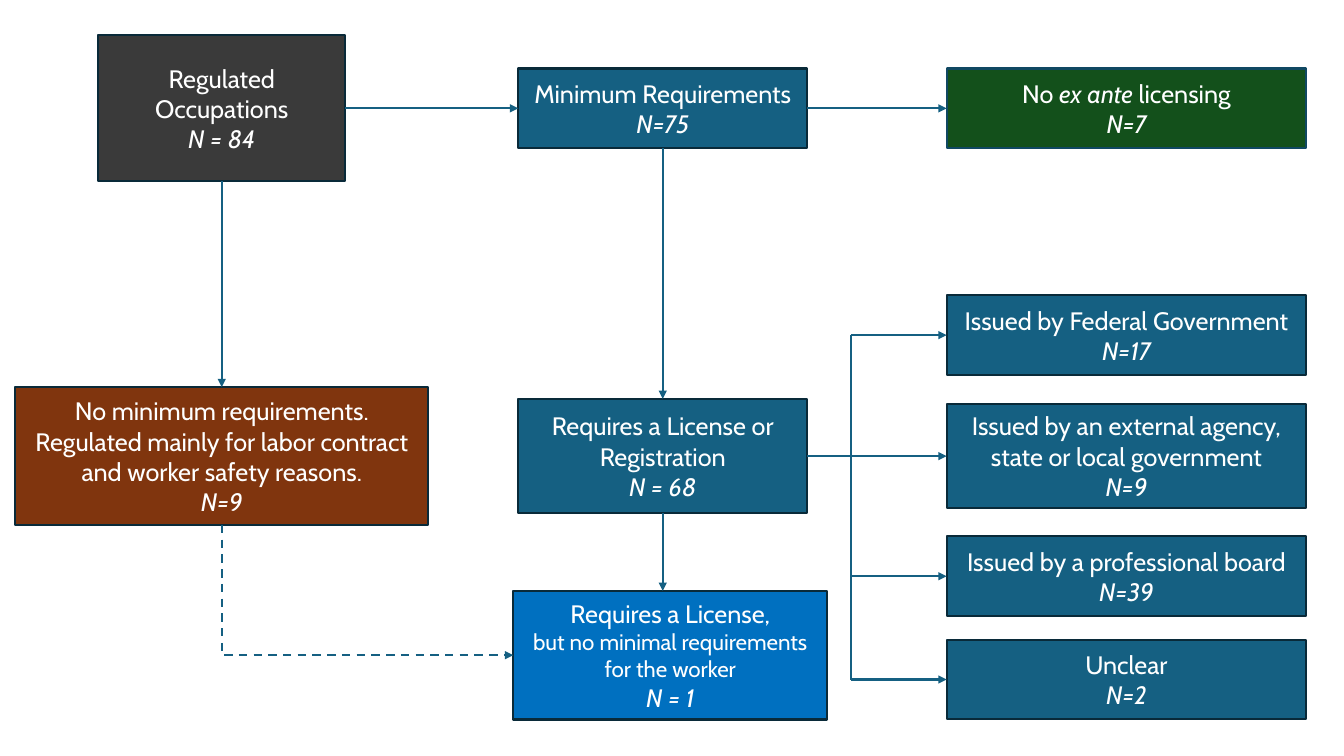
from dataclasses import dataclass

from lxml import etree
from pptx import Presentation
from pptx import util as u
from pptx.dml.color import RGBColor
from pptx.enum import dml, shapes, text
from pptx.oxml.ns import qn


@dataclass(frozen=True)
class Theme:
    font: str = "Cabin"
    size: int = 18
    small: int = 16
    line: float = 1.5
    white: str = "FFFFFF"
    edge: str = "092A39"
    green_edge: str = "104862"
    teal: str = "156082"
    grey: str = "3A3A3A"
    brown: str = "80350E"
    green: str = "13501B"
    blue: str = "0070C0"


@dataclass(frozen=True)
class Box:
    """A box centred on a grid point; *stars* enclose italics."""
    col: float
    row: float
    cols: float
    rows: float
    lines: tuple[str, ...]
    fill: str
    edge: str
    small_line: int = -1


@dataclass(frozen=True)
class Link:
    """A straight arrow between two boxes, by name and side."""
    start: str
    start_side: int
    end: str
    end_side: int


T = Theme()
TOP, LEFT, BOTTOM, RIGHT = range(4)

prs = Presentation()
prs.slide_width, prs.slide_height = u.Inches(13.33), u.Inches(7.5)
slide = prs.slides.add_slide(prs.slide_layouts[6])

# Grid of 160 columns by 90 rows
COL, ROW = prs.slide_width / 160, prs.slide_height / 90
COL_A, COL_B, COL_C = 26.4, 78.9, 134.1
ROW_TOP, ROW_MID, ROW_LOW = 12.9, 54.3, 78
TRUNK = 101.3
WIDE_B, WIDE_C = 34.4, 42.8
LOW = 9.5


def x(col: float) -> u.Emu:
    return u.Emu(round(col * COL))


def y(row: float) -> u.Emu:
    return u.Emu(round(row * ROW))


def colour(code: str) -> RGBColor:
    return RGBColor.from_string(code)


def teal_box(col: float, row: float, cols: float, rows: float, *lines: str) -> Box:
    return Box(col, row, cols, rows, lines, T.teal, T.edge)


def draw_box(box: Box):
    sp = slide.shapes.add_shape(
        shapes.MSO_SHAPE.RECTANGLE, x(box.col - box.cols / 2),
        y(box.row - box.rows / 2), x(box.cols), y(box.rows))
    sp.shadow.inherit = False
    sp.fill.solid()
    sp.fill.fore_color.rgb = colour(box.fill)
    sp.line.color.rgb = colour(box.edge)
    sp.line.width = u.Pt(T.line)
    tf = sp.text_frame
    tf.word_wrap = True
    tf.vertical_anchor = text.MSO_ANCHOR.MIDDLE
    for i, line in enumerate(box.lines):
        p = tf.add_paragraph() if i else tf.paragraphs[0]
        p.alignment = text.PP_ALIGN.CENTER
        for j, part in enumerate(line.split("*")):
            if not part:
                continue
            r = p.add_run()
            r.text = part
            r.font.name = T.font
            r.font.size = u.Pt(T.small if i == box.small_line else T.size)
            r.font.italic = j % 2 == 1
            r.font.color.rgb = colour(T.white)
    return sp


def draw_line(x1: int, y1: int, x2: int, y2: int, arrow: bool = True,
              dashed: bool = False, kind=shapes.MSO_CONNECTOR.STRAIGHT):
    c = slide.shapes.add_connector(kind, x1, y1, x2, y2)
    c.line.color.rgb = colour(T.teal)
    c.line.width = u.Pt(T.line)
    if dashed:
        c.line.dash_style = dml.MSO_LINE.DASH
    sp_pr = c.element.spPr
    if arrow:
        etree.SubElement(sp_pr.find(qn("a:ln")), qn("a:tailEnd"), type="triangle")
    etree.SubElement(sp_pr, qn("a:effectLst"))
    return c


# Boxes
boxes = {
    "all": Box(COL_A, ROW_TOP, 29.4, 17.4,
               ("Regulated Occupations", "*N = 84*"), T.grey, T.edge),
    "minimum": teal_box(COL_B, ROW_TOP, WIDE_B, LOW, "Minimum Requirements", "*N=75*"),
    "none": Box(COL_A, ROW_MID, 49.2, 16.4,
                ("No minimum requirements. Regulated mainly for labor contract "
                 "and worker safety reasons.", "*N=9*"), T.brown, T.edge),
    "license": teal_box(COL_B, ROW_MID, WIDE_B, 13.6,
                        "Requires a License or Registration", "*N = 68*"),
    "free": Box(COL_C, ROW_TOP, WIDE_C, LOW,
                ("No *ex ante* licensing", "*N=7*"), T.green, T.green_edge),
    "federal": teal_box(COL_C, 39.9, WIDE_C, LOW,
                        "Issued by Federal Government", "*N=17*"),
    "agency": teal_box(COL_C, ROW_MID, WIDE_C, 12.4, "Issued by an external agency,",
                       "state or local government", "*N=9*"),
    "board": teal_box(COL_C, 68.6, WIDE_C, LOW,
                      "Issued by a professional board", "*N=39*"),
    "unclear": teal_box(COL_C, 80.9, WIDE_C, LOW, "Unclear", "*N=2*"),
    "worker": Box(79.8, ROW_LOW, 37.4, 15.3,
                  ("Requires a License,", "but no minimal requirements for the worker",
                   "*N = 1*"), T.blue, T.edge, small_line=1),
}
drawn = {name: draw_box(box) for name, box in boxes.items()}

# Arrows from box to box
for link in (
    Link("all", RIGHT, "minimum", LEFT),
    Link("minimum", RIGHT, "free", LEFT),
    Link("minimum", BOTTOM, "license", TOP),
    Link("license", RIGHT, "agency", LEFT),
    Link("all", BOTTOM, "none", TOP),
):
    c = draw_line(0, 0, 0, 0)
    c.begin_connect(drawn[link.start], link.start_side)
    c.end_connect(drawn[link.end], link.end_side)

# Trunk and its branches
draw_line(x(TRUNK), y(boxes["federal"].row), x(TRUNK), y(boxes["unclear"].row), arrow=False)
for name in ("federal", "board", "unclear"):
    row = y(boxes[name].row)
    c = draw_line(x(TRUNK), row, drawn[name].left, row)
    c.end_connect(drawn[name], LEFT)

# Arrow down to the lowest box, left of its middle
c = draw_line(x(COL_B), y(ROW_MID), x(COL_B), drawn["worker"].top)
c.begin_connect(drawn["license"], BOTTOM)

# Dashed elbow: down, then right
c = draw_line(0, 0, 0, 0, dashed=True, kind=shapes.MSO_CONNECTOR.ELBOW)
c.begin_connect(drawn["none"], BOTTOM)
c.end_connect(drawn["worker"], LEFT)
across, down = c.width, c.height
c.left, c.top = c.left + (across - down) // 2, c.top + (down - across) // 2
c.width, c.height = down, across
c.element.spPr.find(qn("a:prstGeom")).set("prst", "bentConnector2")
xfrm = c.element.spPr.find(qn("a:xfrm"))
xfrm.set("rot", str(270 * 60000))
xfrm.set("flipH", "1")

prs.save("out.pptx")
